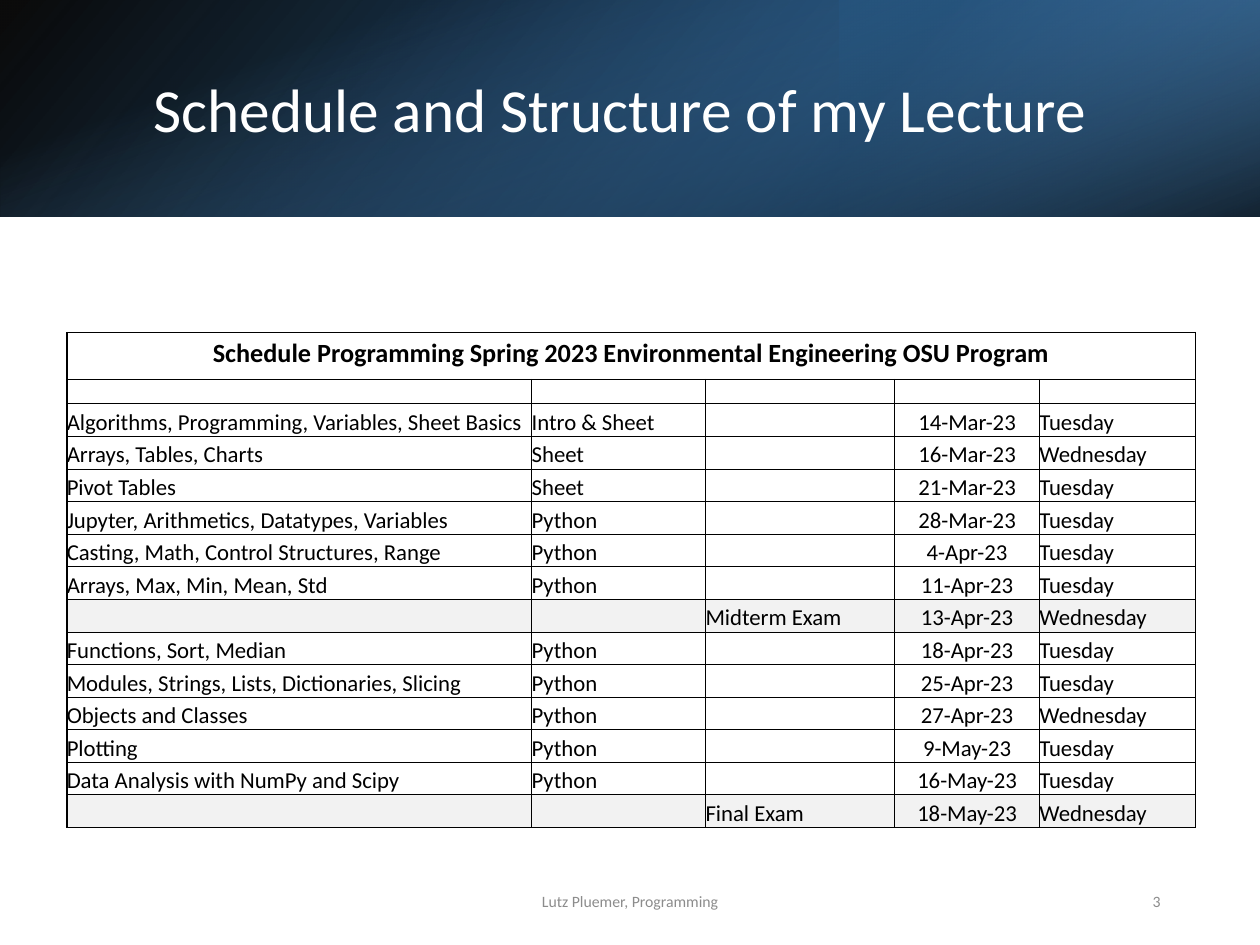
import pptx
import pptx.dml.color
import pptx.enum.shapes
import pptx.enum.text
import pptx.oxml
import pptx.oxml.ns
import pptx.util

RGBColor = pptx.dml.color.RGBColor
ALIGN = pptx.enum.text.PP_ALIGN
ANCHOR = pptx.enum.text.MSO_ANCHOR

BLACK = RGBColor(0x00, 0x00, 0x00)
WHITE = RGBColor(0xFF, 0xFF, 0xFF)
GRAY = RGBColor(0x8C, 0x8C, 0x8C)
EXAM_GRAY = RGBColor(0xF2, 0xF2, 0xF2)
NAVY = RGBColor(0x1F, 0x4E, 0x79)
BLUE = RGBColor(0x2E, 0x75, 0xB6)
SKY = RGBColor(0x5B, 0x9B, 0xD5)

FONT = "Calibri"
# The slide is a grid of 100 columns by 75 rows of square units
GRID_COLUMNS, GRID_ROWS = 100, 75
UNIT = pptx.util.Inches(0.1)

COLUMN_WIDTHS = [36.9, 13.8, 15, 11.5, 12.4]
TITLE_ROW, BLANK_ROW, LECTURE_ROW = 3.7, 1.95, 2.59
DATE_COLUMN = 3
TABLE_TITLE = "Schedule Programming Spring 2023 Environmental Engineering OSU Program"
# Topic, tool, exam, date, weekday
LECTURES = [
    ("Algorithms, Programming, Variables, Sheet Basics", "Intro & Sheet", "", "14-Mar-23", "Tuesday"),
    ("Arrays, Tables, Charts", "Sheet", "", "16-Mar-23", "Wednesday"),
    ("Pivot Tables", "Sheet", "", "21-Mar-23", "Tuesday"),
    ("Jupyter, Arithmetics, Datatypes, Variables", "Python", "", "28-Mar-23", "Tuesday"),
    ("Casting, Math, Control Structures, Range", "Python", "", "4-Apr-23", "Tuesday"),
    ("Arrays, Max, Min, Mean, Std", "Python", "", "11-Apr-23", "Tuesday"),
    ("", "", "Midterm Exam", "13-Apr-23", "Wednesday"),
    ("Functions, Sort, Median", "Python", "", "18-Apr-23", "Tuesday"),
    ("Modules, Strings, Lists, Dictionaries, Slicing", "Python", "", "25-Apr-23", "Tuesday"),
    ("Objects and Classes", "Python", "", "27-Apr-23", "Wednesday"),
    ("Plotting", "Python", "", "9-May-23", "Tuesday"),
    ("Data Analysis with NumPy and Scipy", "Python", "", "16-May-23", "Tuesday"),
    ("", "", "Final Exam", "18-May-23", "Wednesday"),
]


def units(*lengths):
    """Turn grid units into slide lengths."""
    return [round(length * UNIT) for length in lengths]


def write_text(frame, text, size=13, color=BLACK, bold=False, align=ALIGN.LEFT):
    paragraph = frame.paragraphs[0]
    paragraph.alignment = align
    if not text:
        # An empty cell keeps its line height in the end-of-paragraph mark
        paragraph._p.get_or_add_endParaRPr().set("sz", str(size * 100))
        return
    run = paragraph.add_run()
    run.text = text
    run.font.name = FONT
    run.font.size = pptx.util.Pt(size)
    run.font.bold = bold
    run.font.color.rgb = color


def add_label(slide, box, text, **text_format):
    frame = slide.shapes.add_textbox(*units(*box)).text_frame
    frame.word_wrap = True
    frame.vertical_anchor = ANCHOR.MIDDLE
    write_text(frame, text, **text_format)


def add_gradient(slide, box, stops, angle, rotation=0, flip=False):
    """Add a rectangle with two stops of (position, color, opacity)."""
    shape = slide.shapes.add_shape(pptx.enum.shapes.MSO_SHAPE.RECTANGLE, *units(*box))
    shape.shadow.inherit = False
    shape.line.fill.background()
    shape.rotation = rotation
    if flip:
        shape._element.spPr.xfrm.set("flipH", "1")
    shape.fill.gradient()
    shape.fill.gradient_angle = 360 - angle
    for stop, (position, color, opacity) in zip(shape.fill.gradient_stops, stops):
        stop.position = position
        stop.color.rgb = color
    colors = shape._element.spPr.iter(pptx.oxml.ns.qn("a:srgbClr"))
    for element, (position, color, opacity) in zip(list(colors), stops):
        alpha = pptx.oxml.parse_xml(f'<a:alpha {pptx.oxml.ns.nsdecls("a")}/>')
        alpha.set("val", str(round(opacity * 100000)))
        element.append(alpha)


def add_header(slide, box):
    left, top, width, height = box
    # Base gradient, right-hand glow, then a band turned on its side
    add_gradient(slide, box, [(0, BLACK, 0.96), (1, BLUE, 1)], 140, flip=True)
    add_gradient(slide, (left + width * 2 / 3, top, width / 3, height),
                 [(0.19, NAVY, 0.68), (1, SKY, 0.79)], 320, rotation=180, flip=True)
    offset = (width - height) / 2
    add_gradient(slide, (left + offset, top - offset, height, width),
                 [(0.23, SKY, 0), (0.99, BLACK, 0.74)], 340, rotation=90)
    add_label(slide, (left + 11.2, top + 3.8, 82.4, 9.6),
              "Schedule and Structure of my Lecture", size=35, color=WHITE)


def set_borders(cell, **widths):
    """Draw black borders: L, R, T and B give widths in points."""
    properties = cell._tc.get_or_add_tcPr()
    for index, (side, width) in enumerate(widths.items()):
        properties.insert(index, pptx.oxml.parse_xml(
            f'<a:ln{side} {pptx.oxml.ns.nsdecls("a")} w="{pptx.util.Pt(width)}">'
            f'<a:solidFill><a:srgbClr val="{BLACK}"/></a:solidFill></a:ln{side}>'))


def fill_cell(cell, text, anchor=ANCHOR.BOTTOM, margins=(0, 0), fill=None, **text_format):
    cell.vertical_anchor = anchor
    cell.margin_left = cell.margin_right = pptx.util.Inches(margins[0])
    cell.margin_top = cell.margin_bottom = pptx.util.Inches(margins[1])
    if fill is None:
        cell.fill.background()
    else:
        cell.fill.solid()
        cell.fill.fore_color.rgb = fill
    write_text(cell.text_frame, text, **text_format)


def add_schedule(slide, box):
    rows = [(TABLE_TITLE, "", "", "", ""), ("",) * 5] + LECTURES
    heights = [TITLE_ROW, BLANK_ROW] + [LECTURE_ROW] * len(LECTURES)
    last = len(COLUMN_WIDTHS) - 1
    table = slide.shapes.add_table(len(rows), last + 1, *units(*box)).table
    table.first_row = table.horz_banding = False
    for column, width in zip(table.columns, units(*COLUMN_WIDTHS)):
        column.width = width
    table.cell(0, 0).merge(table.cell(0, last))

    for r, (texts, height) in enumerate(zip(rows, units(*heights))):
        table.rows[r].height = height
        for c, text in enumerate(texts):
            cell = table.cell(r, c)
            if r == 0:
                fill_cell(cell, text, anchor=ANCHOR.TOP, margins=(0.08, 0.04),
                          size=15, bold=True, align=ALIGN.CENTER)
            else:
                fill_cell(cell, text, size=10 if r == 1 else 13,
                          fill=EXAM_GRAY if texts[2] else None,
                          align=ALIGN.CENTER if c == DATE_COLUMN else ALIGN.LEFT)
            set_borders(cell, L=1 if c == 0 else 0.5,
                        R=1 if c == last or r == 0 else 0.5,
                        T=1 if r == 0 else 0.5, B=0.5)


def add_footer(slide, box):
    left, top, width, height = box
    add_label(slide, (left + 33.1, top, 33.8, height), "Lutz Pluemer, Programming",
              size=9, color=GRAY, align=ALIGN.CENTER)
    add_label(slide, (left + 70.6, top, 22.5, height), "3",
              size=9, color=GRAY, align=ALIGN.RIGHT)


def main():
    presentation = pptx.Presentation()
    presentation.slide_width, presentation.slide_height = units(GRID_COLUMNS, GRID_ROWS)
    slide = presentation.slides.add_slide(presentation.slide_layouts[6])
    add_header(slide, (0, 0, GRID_COLUMNS, 17.2))
    add_schedule(slide, (5.3, 26.4, 89.6, 39.3))
    add_footer(slide, (0, 69.5, GRID_COLUMNS, 4))
    presentation.save("out.pptx")


if __name__ == "__main__":
    main()
